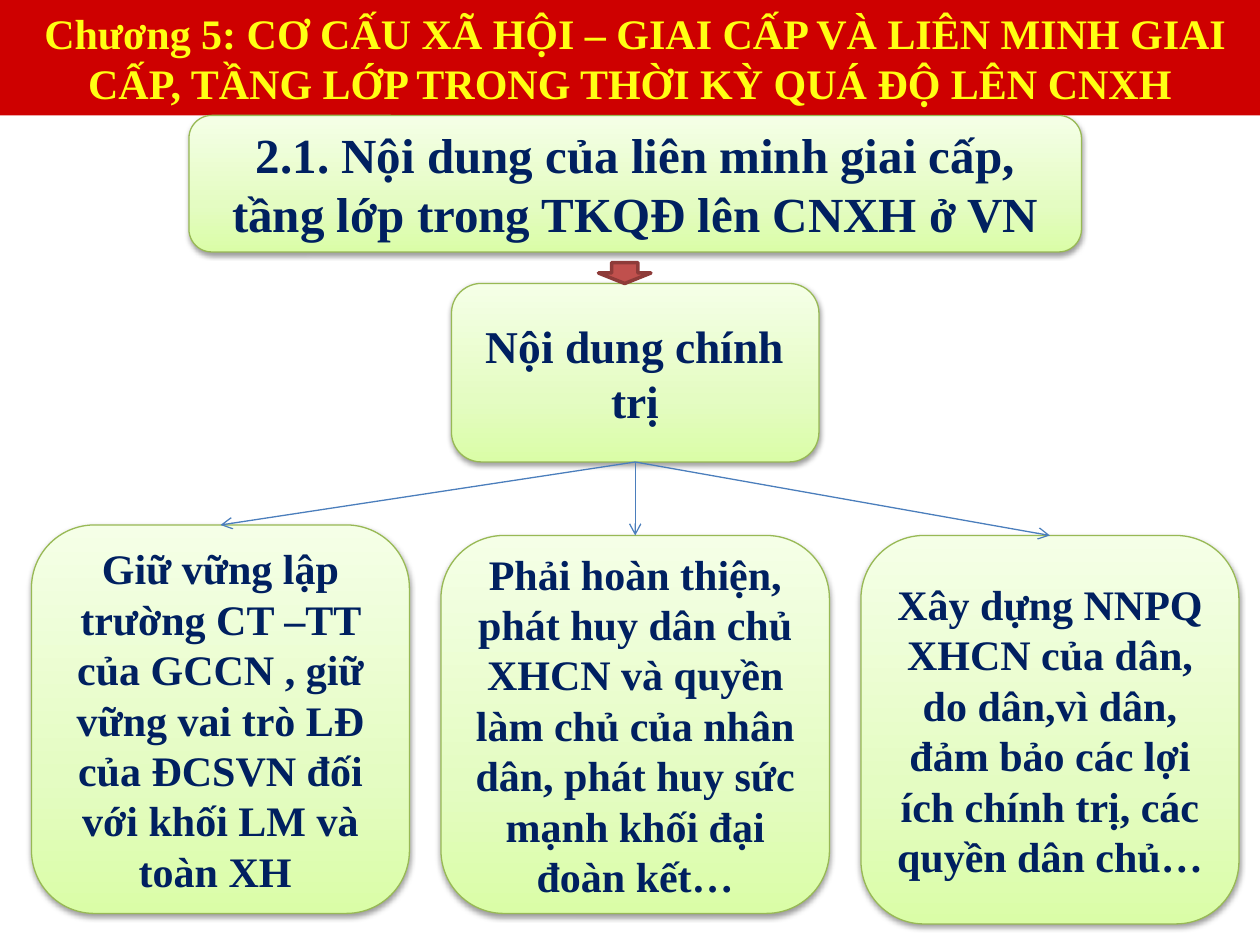
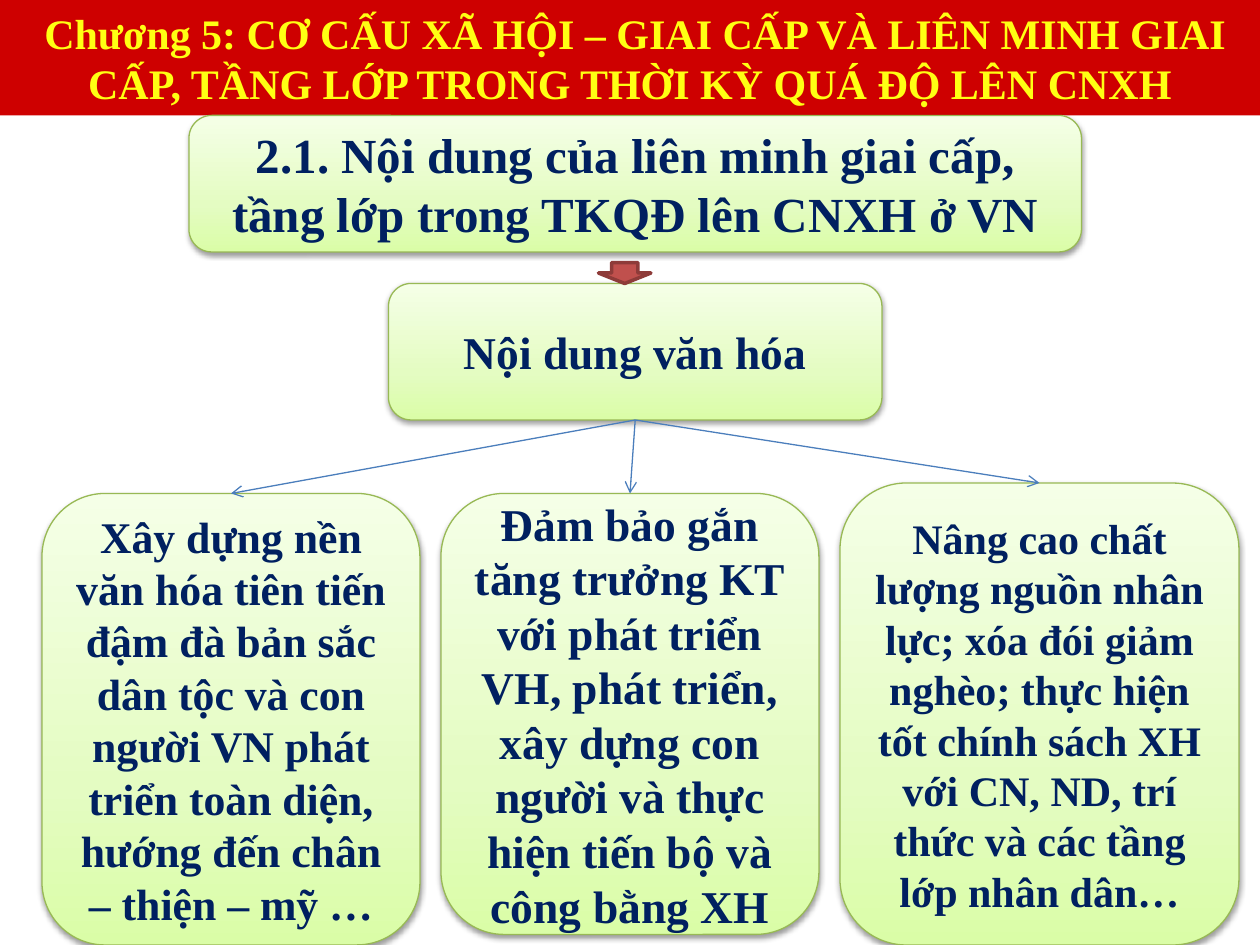
from copy import deepcopy

from lxml.etree import SubElement
from pptx import Presentation
from pptx.dml.color import RGBColor
from pptx.enum.shapes import MSO_CONNECTOR as Connector, MSO_SHAPE as Shape
from pptx.enum.text import MSO_ANCHOR as Anchor, PP_ALIGN as Align
from pptx.oxml.ns import qn
from pptx.util import Inches, Pt

RED = RGBColor(0xCE, 0x00, 0x00)
YELLOW = RGBColor(0xFF, 0xFF, 0x13)
NAVY = RGBColor(0x00, 0x20, 0x60)
GREEN_EDGE = RGBColor(0x98, 0xB9, 0x55)
BLUE_LINE = RGBColor(0x4B, 0x7E, 0xBC)
BRICK = RGBColor(0xC0, 0x50, 0x4D)
BRICK_EDGE = RGBColor(0x8E, 0x3B, 0x39)
GREEN_STOPS = (
    (0, RGBColor(0xDA, 0xFD, 0xA7)),
    (0.35, RGBColor(0xE4, 0xFC, 0xC2)),
    (1, RGBColor(0xF5, 0xFF, 0xE7)),
)
FONT = "Times New Roman"
COLUMNS, ROWS = 120, 90
TOP, BOTTOM = 0, 2

CHAPTER = (" Chương 5: CƠ CẤU XÃ HỘI – GIAI CẤP VÀ LIÊN MINH GIAI CẤP, "
           "TẦNG LỚP TRONG THỜI KỲ QUÁ ĐỘ LÊN CNXH")
SECTION = "2.1. Nội dung của liên minh giai cấp, tầng lớp trong TKQĐ lên CNXH ở VN"

TOPICS = [
    (("Nội dung chính trị", (43, 27, 35, 17)), [
        ("Giữ vững lập trường CT –TT của GCCN , giữ vững vai trò LĐ của ĐCSVN "
         "đối với khối LM và toàn XH ", (3, 50, 36, 37), 24),
        ("Phải hoàn thiện, phát huy dân chủ XHCN và quyền làm chủ của nhân dân, "
         "phát huy sức mạnh khối đại đoàn kết…", (42, 51, 37, 36), 24),
        ("Xây dựng NNPQ XHCN của dân, do dân,vì dân, đảm bảo các lợi ích chính trị, "
         "các quyền dân chủ…", (82, 51, 36, 37), 24),
    ]),
    (("Nội dung văn hóa", (37, 27, 47, 13)), [
        ("Xây dựng nền văn hóa tiên tiến đậm đà bản sắc dân tộc và con người VN "
         "phát triển toàn diện, hướng đến chân – thiện – mỹ …", (4, 47, 36, 43), 25),
        ("Đảm bảo gắn tăng trưởng KT với phát triển VH, phát triển, xây dựng con người "
         "và thực hiện tiến bộ và công bằng XH", (42, 47, 36, 42), 26),
        ("Nâng cao chất lượng nguồn nhân lực; xóa đói giảm nghèo; thực hiện tốt "
         "chính sách XH với CN, ND, trí thức và các tầng lớp nhân dân…",
         (80, 46, 38, 44), 24),
    ]),
]


class LessonDeck:
    def __init__(self):
        self.deck = Presentation()
        self.deck.slide_width, self.deck.slide_height = Inches(10), Inches(7.5)
        self.column = self.deck.slide_width / COLUMNS
        self.row = self.deck.slide_height / ROWS
        self.page = None

    def shape(self, kind, cell):
        left, top, width, height = cell
        shape = self.page.shapes.add_shape(
            kind, round(left * self.column), round(top * self.row),
            round(width * self.column), round(height * self.row))
        shape.shadow.inherit = False
        return shape

    def set_text(self, shape, text, size, color):
        frame = shape.text_frame
        frame.word_wrap = True
        frame.vertical_anchor = Anchor.MIDDLE
        para = frame.paragraphs[0]
        para.text = text
        para.alignment = Align.CENTER
        font = para.font
        font.name, font.size, font.bold = FONT, Pt(size), True
        font.color.rgb = color

    def band(self, text):
        band = self.shape(Shape.RECTANGLE, (0, 0, COLUMNS, 11))
        band.fill.solid()
        band.fill.fore_color.rgb = RED
        band.line.fill.background()
        self.set_text(band, text, 24, YELLOW)
        band.text_frame.margin_top = band.text_frame.margin_bottom = 0

    def card(self, text, cell, size):
        card = self.shape(Shape.ROUNDED_RECTANGLE, cell)
        self.paint_green(card)
        card.line.color.rgb = GREEN_EDGE
        card.line.width = Pt(0.75)
        self.cast_shadow(card)
        self.set_text(card, text, size, NAVY)
        return card

    def paint_green(self, card):
        card.fill.gradient()
        card.fill.gradient_angle = 90
        stop_list = card._element.spPr.find(qn("a:gradFill")).find(qn("a:gsLst"))
        stop_list.append(deepcopy(stop_list[0]))
        for stop, (position, color) in zip(card.fill.gradient_stops, GREEN_STOPS):
            stop.position = position
            stop.color.rgb = color

    def cast_shadow(self, card):
        effects = card._element.spPr.find(qn("a:effectLst"))
        shadow = SubElement(effects, qn("a:outerShdw"), blurRad="40000", dist="20000",
                            dir="5400000", rotWithShape="0")
        black = SubElement(shadow, qn("a:srgbClr"), val="000000")
        SubElement(black, qn("a:alpha"), val="38000")

    def block_arrow(self, cell):
        arrow = self.shape(Shape.DOWN_ARROW, cell)
        arrow.fill.solid()
        arrow.fill.fore_color.rgb = BRICK
        arrow.line.color.rgb = BRICK_EDGE
        arrow.line.width = Pt(2)

    def link(self, parent, child):
        link = self.page.shapes.add_connector(Connector.STRAIGHT, 0, 0, 0, 0)
        link.begin_connect(parent, BOTTOM)
        link.end_connect(child, TOP)
        link.line.color.rgb = BLUE_LINE
        link.line.width = Pt(0.75)
        properties = link._element.spPr
        SubElement(properties.find(qn("a:ln")), qn("a:tailEnd"), type="arrow")
        SubElement(properties, qn("a:effectLst"))

    def topic_page(self, topic, points):
        self.page = self.deck.slides.add_slide(self.deck.slide_layouts[6])
        self.band(CHAPTER)
        self.card(SECTION, (18, 11, 85, 13), 28)
        topic_card = self.card(*topic, 26)
        point_cards = [self.card(*point) for point in points]
        for point_card in point_cards:
            self.link(topic_card, point_card)
        self.block_arrow((57, 25, 5, 2))


def main():
    lesson = LessonDeck()
    for topic, points in TOPICS:
        lesson.topic_page(topic, points)
    lesson.deck.save("out.pptx")


if __name__ == "__main__":
    main()
